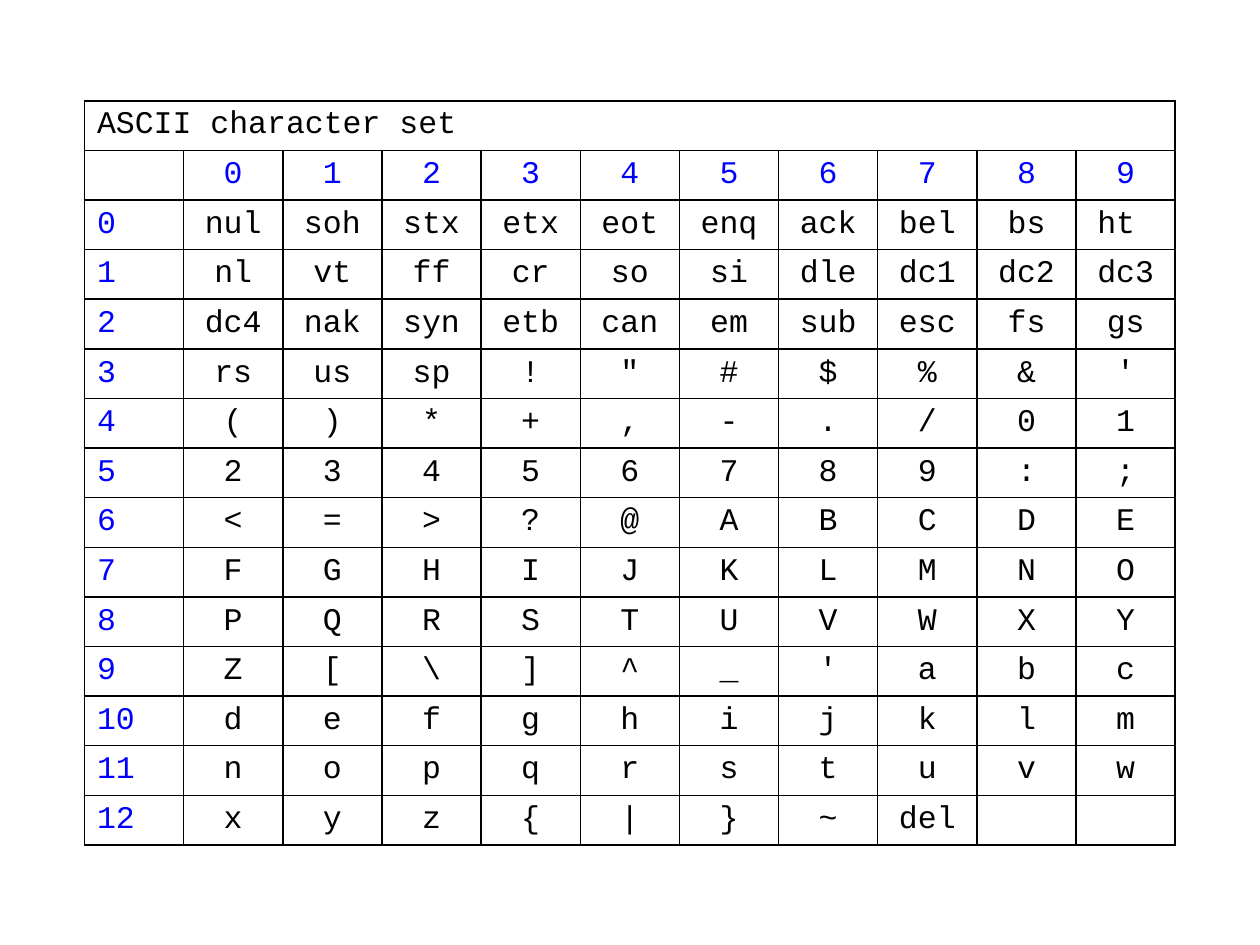
"""Build a slide with the ASCII character set as a decimal grid."""
import pptx
import pptx.dml.color
import pptx.enum.text
import pptx.oxml
import pptx.util
from lxml import etree

Inches, Pt = pptx.util.Inches, pptx.util.Pt
PP_ALIGN = pptx.enum.text.PP_ALIGN
NS = "http://schemas.openxmlformats.org/drawingml/2006/main"


def rgb(value):
    return pptx.dml.color.RGBColor.from_string(value)


def add_borders(cell, color, width):
    tcPr = cell._tc.get_or_add_tcPr()
    for side in ("lnL", "lnR", "lnT", "lnB"):
        ln = etree.SubElement(tcPr, f"{{{NS}}}{side}", w=str(Pt(width)))
        fill = etree.SubElement(ln, f"{{{NS}}}solidFill")
        etree.SubElement(fill, f"{{{NS}}}srgbClr", val=color)


control_names = (
    "nul soh stx etx eot enq ack bel bs ht nl vt ff cr so si dle dc1 dc2 dc3 "
    "dc4 nak syn etb can em sub esc fs gs rs us sp"
).split()
chars = control_names + [chr(code) for code in range(33, 127)] + ["del"]
chars[9] = "ht "
chars[19] = "dc3 "
chars[96] = "'"

rows = [["ASCII character set"], [""] + [str(digit) for digit in range(10)]]
for tens in range(13):
    rows.append([str(tens)] + chars[tens * 10:tens * 10 + 10])

prs = pptx.Presentation()
prs.slide_width, prs.slide_height = Inches(10), Inches(7.5)
s = prs.slides.add_slide(prs.slide_layouts[6])

table = s.shapes.add_table(
    len(rows), 11, Inches(0.67), Inches(0.8), Inches(8.66), Inches(5.91)
).table
table.first_row = table.horz_banding = False
table.cell(0, 0).merge(table.cell(0, 10))

for i, row in enumerate(table.rows):
    for j, cell in enumerate(row.cells):
        add_borders(cell, "000000", 1)
        cell.fill.background()
        cell.margin_left = cell.margin_right = Inches(0.1)
        cell.margin_top = cell.margin_bottom = 0
        cell.vertical_anchor = pptx.enum.text.MSO_ANCHOR.MIDDLE
        p = cell.text_frame.paragraphs[0]
        if j < len(rows[i]):
            p.text = rows[i][j]
        p.alignment = PP_ALIGN.CENTER if j else PP_ALIGN.LEFT
        p.font.name = "Courier New"
        p.font.size = Pt(18)
        is_label = i == 1 or (i > 1 and j == 0)
        p.font.color.rgb = rgb("0000FF" if is_label else "000000")

prs.save("out.pptx")
